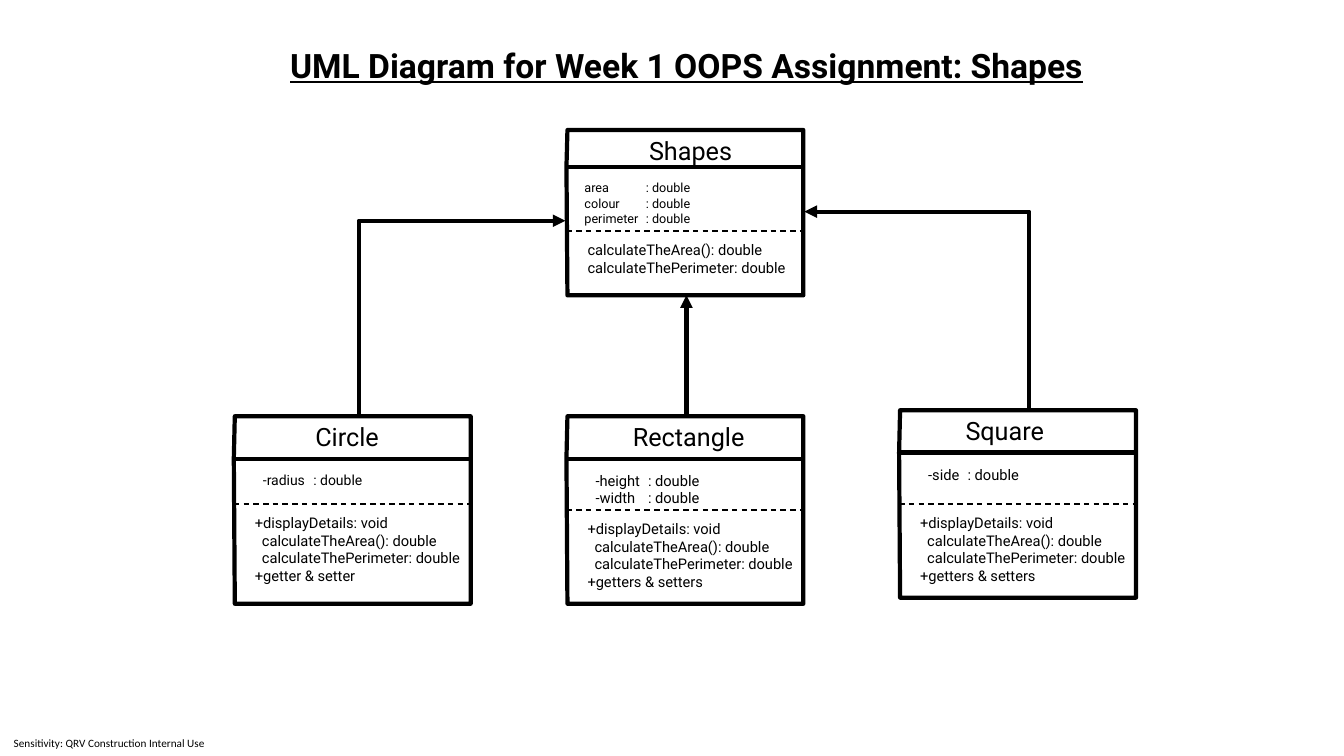
import pptx
import pptx.util
import pptx.dml.color
import pptx.enum.dml
import pptx.enum.shapes
import pptx.enum.text
import pptx.oxml.ns
import lxml.etree

BLACK = pptx.dml.color.RGBColor(0x00, 0x00, 0x00)
WHITE = pptx.dml.color.RGBColor(0xFF, 0xFF, 0xFF)
COLUMNS, ROWS = 40, 22.5
CLASS_WIDTH = 7.05
FIRST_CLASS, CLASS_STEP = 6.96, 9.9
SKEW = 0.03
LEFT = pptx.enum.text.PP_ALIGN.LEFT
CENTER = pptx.enum.text.PP_ALIGN.CENTER
TOP = pptx.enum.text.MSO_ANCHOR.TOP
MIDDLE = pptx.enum.text.MSO_ANCHOR.MIDDLE
STRAIGHT = pptx.enum.shapes.MSO_CONNECTOR.STRAIGHT
ELBOW = pptx.enum.shapes.MSO_CONNECTOR.ELBOW


class Diagram:
    def __init__(self, deck, font="Roboto", weight=3):
        self.page = deck.slides.add_slide(deck.slide_layouts[6])
        self.cell_width = deck.slide_width / COLUMNS
        self.cell_height = deck.slide_height / ROWS
        self.font = font
        self.weight = weight

    def point(self, column, row):
        return round(column * self.cell_width), round(row * self.cell_height)

    def add_text(self, lines, place, size, font=None, align=LEFT, anchor=TOP,
                 margin=None, strong=False, tab=None, indented=()):
        left, top, width, height = place
        box = self.page.shapes.add_textbox(*self.point(left, top), *self.point(width, height))
        frame = box.text_frame
        frame.word_wrap = True
        frame.vertical_anchor = anchor
        if margin is not None:
            frame.margin_left = frame.margin_right = margin
            frame.margin_top = frame.margin_bottom = margin
        frame.text = "\n".join(lines)
        for index, para in enumerate(frame.paragraphs):
            para.alignment = align
            properties = para._p.get_or_add_pPr()
            if index in indented:
                properties.set("marL", str(pptx.util.Inches(0.07)))
            if tab:
                stops = lxml.etree.SubElement(properties, pptx.oxml.ns.qn("a:tabLst"))
                lxml.etree.SubElement(stops, pptx.oxml.ns.qn("a:tab"),
                                      pos=str(pptx.util.Inches(tab)), algn="l")
            for span in para.runs:
                span.font.name = font or self.font
                span.font.size = pptx.util.Pt(size)
                span.font.color.rgb = BLACK
                span.font.bold = span.font.underline = strong

    def add_line(self, start, end, weight=None, kind=STRAIGHT, dashed=False):
        line = self.page.shapes.add_connector(kind, *self.point(*start), *self.point(*end))
        line.line.color.rgb = BLACK
        line.line.width = pptx.util.Pt(weight or self.weight)
        if dashed:
            line.line.dash_style = pptx.enum.dml.MSO_LINE.DASH
        lxml.etree.SubElement(line._element.spPr, pptx.oxml.ns.qn("a:effectLst"))
        return line

    def add_inheritance(self, parent, child):
        kind = STRAIGHT if parent[0] == child[0] else ELBOW
        arrow = self.add_line(parent, child, kind=kind)
        if kind == ELBOW:
            geometry = arrow._element.spPr.find(pptx.oxml.ns.qn("a:prstGeom"))
            geometry.set("prst", "bentConnector2")
        lxml.etree.SubElement(arrow.line._get_or_add_ln(),
                              pptx.oxml.ns.qn("a:headEnd"), type="triangle")

    def add_outline(self, left, top, height, header):
        right, bottom = left + CLASS_WIDTH, top + height
        builder = self.page.shapes.build_freeform(*self.point(left + SKEW, top))
        corners = [(right, top), (right, bottom), (left + SKEW, bottom), (left, top + header)]
        builder.add_line_segments([self.point(*corner) for corner in corners], close=True)
        outline = builder.convert_to_shape()
        outline.shadow.inherit = False
        outline.fill.solid()
        outline.fill.fore_color.rgb = WHITE
        outline.line.color.rgb = BLACK
        outline.line.width = pptx.util.Pt(self.weight)

    def add_class(self, name, slot, top, height, header, divider, name_inset,
                  fields, field_inset, field_size, tab, methods, indented):
        left = FIRST_CLASS + slot * CLASS_STEP
        right = left + CLASS_WIDTH
        self.add_outline(left, top, height, header)
        self.add_line((right, top + header), (left, top + header))
        self.add_text([name], (left + name_inset, top, 4.41, 1.2), 18)
        self.add_text(fields, (left + field_inset, top + header + 0.24, 6.6, 1.35),
                      field_size, tab=tab)
        self.add_text(methods, (left + 0.33, divider + 0.15, 6.9, 2.43), 10.5,
                      indented=indented)
        self.add_line((left, divider), (right, divider), weight=1, dashed=True)


deck = pptx.Presentation()
deck.slide_width = pptx.util.Inches(13.33)
deck.slide_height = pptx.util.Inches(7.5)
diagram = Diagram(deck)

diagram.add_text(["Sensitivity: QRV Construction Internal Use"], (0, 21.75, 6.51, 0.75), 8,
                 font="Calibri", align=CENTER, anchor=MIDDLE, margin=0)

shared_methods = ["calculateTheArea(): double", "calculateThePerimeter: double"]
diagram.add_class("Shapes", 1, 3.87, 4.92, 1.11, 6.87, 2.16,
                  ["area\t: double", "colour\t: double", "perimeter\t: double"],
                  0.24, 9, 0.61, shared_methods, ())

children = [
    ("Circle", 12.39, 15, 2.13, ["-radius\t: double"], 10, 0.5, "+getter & setter"),
    ("Rectangle", 12.39, 15.18, 1.68, ["-height\t: double", "-width\t: double"], 10.5, 0.52,
     "+getters & setters"),
    ("Square", 12.21, 15, 1.68, ["-side\t: double"], 10.5, 0.39, "+getters & setters"),
]
for slot, (name, top, divider, inset, fields, size, tab, accessors) in enumerate(children):
    methods = ["+displayDetails: void", *shared_methods, accessors]
    diagram.add_class(name, slot, top, 5.58, 1.26, divider, inset, fields, 0.57, size, tab,
                      methods, (1, 2))

for parent, child in [((20.43, 8.79), (20.43, 12.39)),
                      ((16.83, 6.57), (10.68, 12.39)),
                      ((23.94, 6.3), (30.63, 12.21))]:
    diagram.add_inheritance(parent, child)

diagram.add_text(["UML Diagram for Week 1 OOPS Assignment: Shapes"], (7.86, 0, 25.14, 3.9), 24,
                 align=CENTER, anchor=MIDDLE, strong=True)

deck.save("out.pptx")
